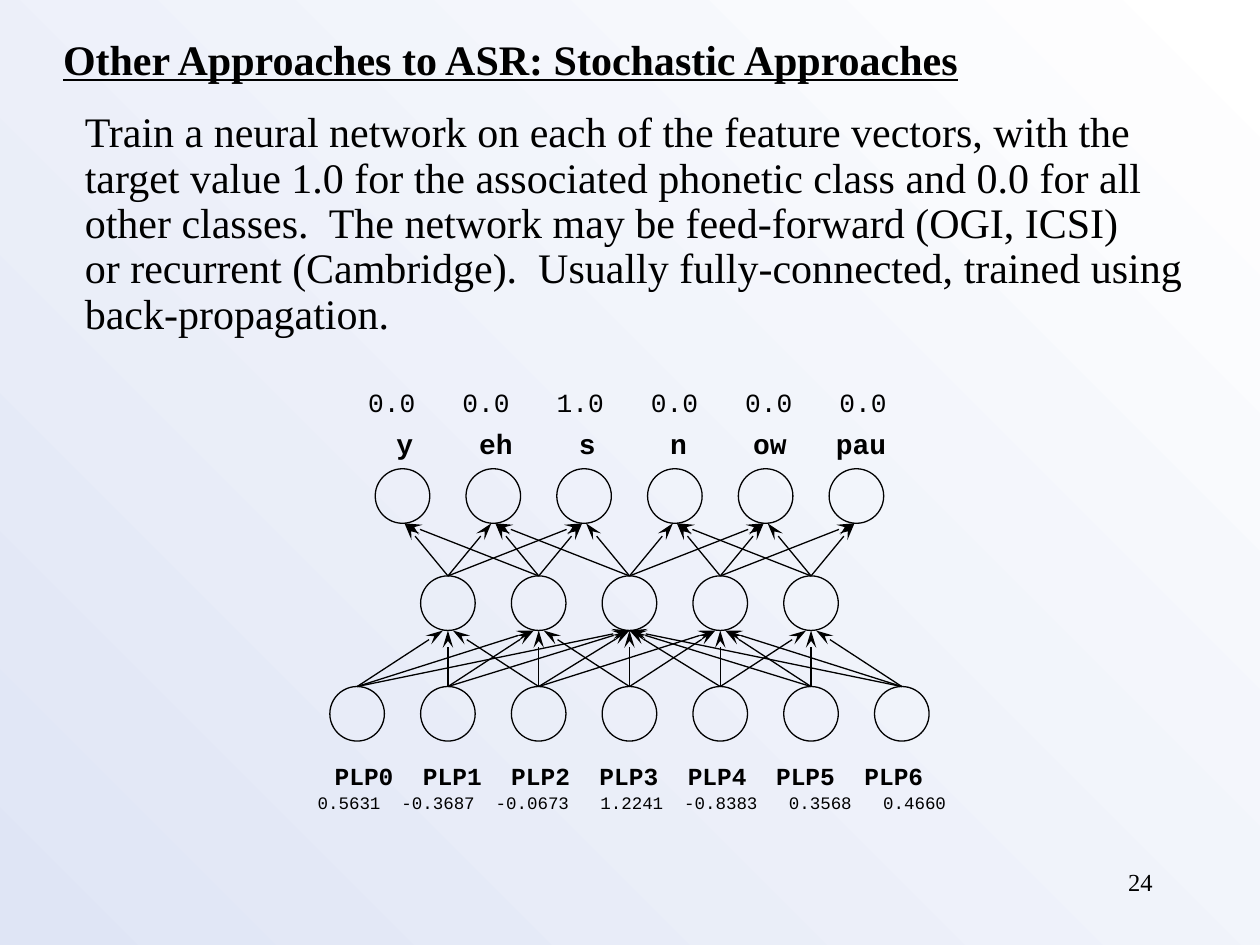
from dataclasses import dataclass

from lxml.etree import SubElement
from pptx import Presentation
from pptx.dml.color import RGBColor
from pptx.enum.shapes import MSO_CONNECTOR, MSO_SHAPE
from pptx.enum.text import MSO_ANCHOR, MSO_AUTO_SIZE, PP_ALIGN
from pptx.oxml.ns import qn
from pptx.util import Cm, Pt


@dataclass(frozen=True)
class Theme:
    ink: RGBColor = RGBColor(0, 0, 0)
    light: RGBColor = RGBColor(0xFF, 0xFF, 0xFF)
    tint: RGBColor = RGBColor(0xDF, 0xE5, 0xF5)
    serif: str = "Times New Roman"
    mono: str = "Courier New"
    heading: float = 24
    class_name: float = 16
    target: float = 15
    feature: float = 14
    value: float = 10
    line: float = 0.75


@dataclass(frozen=True)
class Layer:
    count: int
    top: float
    links: tuple = ()   # for each node, the nodes it feeds in the layer above
    nudge: float = 0    # how far arrow tips lean towards their source

    def center(self, index: int) -> float:
        return MIDDLE + (index - (self.count - 1) / 2) * PITCH


@dataclass(frozen=True)
class LabelRow:
    labels: str
    first_center: float
    pitch: float
    top: float
    height: float
    size: float
    align: PP_ALIGN = PP_ALIGN.CENTER
    bold: bool = False


THEME = Theme()
MIDDLE, PITCH, DIAMETER = 12.69, 1.83, 1.1
LABEL_WIDTH = 1.7

OUTPUTS = Layer(6, 9.45)
HIDDEN = Layer(5, 11.61, ((0, 1, 2), (0, 1, 2), (1, 2, 3, 4), (3, 4, 5), (3, 4, 5)), 0.04)
INPUTS = Layer(7, 13.84, ((0, 1, 2), (0, 1, 2), (0, 1, 2, 3), (1, 2, 3),
                          (2, 3, 4), (2, 3, 4), (2, 3, 4)), 0.1)

BODY_LINES = [
    "Train a neural network on each of the feature vectors, with the",
    "target value 1.0 for the associated phonetic class and 0.0 for all",
    "other classes.  The network may be feed-forward (OGI, ICSI)",
    "or recurrent (Cambridge).  Usually fully-connected, trained using",
    "back-propagation.",
]

LABEL_ROWS = [
    LabelRow("0.0 0.0 1.0 0.0 0.0 0.0", 7.9, 1.9, 7.67, 0.89, THEME.target),
    LabelRow("y eh s n ow pau", 8.16, 1.84, 8.48, 0.94, THEME.class_name, bold=True),
    LabelRow("PLP0 PLP1 PLP2 PLP3 PLP4 PLP5 PLP6", 7.34, 1.78, 15.21, 0.86,
             THEME.feature, bold=True),
    LabelRow("0.5631 -0.3687 -0.0673 1.2241 -0.8383 0.3568 0.4660", 6.82, 1.9, 15.85, 0.69,
             THEME.value, PP_ALIGN.RIGHT),
]


def place(box, left: float, top: float, width: float, height: float):
    box.left, box.top, box.width, box.height = Cm(left), Cm(top), Cm(width), Cm(height)
    return box


def write(box, lines: list[str], *, size: float, font: str = THEME.serif, bold: bool = False,
          underline: bool = False, align: PP_ALIGN = PP_ALIGN.LEFT, spacing: float = 1.0,
          side_margin: float = 0.25) -> None:
    frame = box.text_frame
    frame.word_wrap = True
    frame.auto_size = MSO_AUTO_SIZE.NONE
    frame.vertical_anchor = MSO_ANCHOR.TOP
    frame.margin_left = frame.margin_right = Cm(side_margin)
    for index, line in enumerate(lines):
        para = frame.paragraphs[0] if index == 0 else frame.add_paragraph()
        para.alignment, para.line_spacing, para.space_before = align, spacing, Pt(0)
        properties = para._p.get_or_add_pPr()
        properties.set("marL", "0")
        properties.set("indent", "0")
        SubElement(properties, qn("a:buNone"))
        span = para.add_run()
        span.text = line
        span.font.name, span.font.size = font, Pt(size)
        span.font.bold, span.font.underline = bold, underline
        span.font.color.rgb = THEME.ink


def add_label_row(page, row: LabelRow) -> None:
    for index, label in enumerate(row.labels.split()):
        left = row.first_center + index * row.pitch - LABEL_WIDTH / 2
        box = page.shapes.add_textbox(Cm(left), Cm(row.top), Cm(LABEL_WIDTH), Cm(row.height))
        write(box, [label], size=row.size, font=THEME.mono, bold=row.bold,
              align=row.align, side_margin=0)


def add_nodes(page, layer: Layer) -> None:
    for index in range(layer.count):
        left = layer.center(index) - DIAMETER / 2
        node = page.shapes.add_shape(MSO_SHAPE.OVAL, Cm(left), Cm(layer.top),
                                     Cm(DIAMETER), Cm(DIAMETER))
        node.shadow.inherit = False
        node.fill.background()
        node.line.color.rgb = THEME.ink
        node.line.width = Pt(THEME.line)


def add_arrows(page, lower: Layer, upper: Layer) -> None:
    for source, targets in enumerate(lower.links):
        start = lower.center(source)
        for target in targets:
            end = upper.center(target)
            if abs(start - end) > 0.01 and abs(end - MIDDLE) > 0.01:
                end += lower.nudge if start > end else -lower.nudge
            arrow = page.shapes.add_connector(MSO_CONNECTOR.STRAIGHT, Cm(start), Cm(lower.top),
                                              Cm(end), Cm(upper.top + DIAMETER))
            arrow.line.color.rgb = THEME.ink
            arrow.line.width = Pt(THEME.line)
            SubElement(arrow.line._get_or_add_ln(), qn("a:tailEnd"), type="stealth", len="lg")
            SubElement(arrow._element.spPr, qn("a:effectLst"))


def build() -> None:
    deck = Presentation()
    deck.slide_width, deck.slide_height = Cm(25.4), Cm(19.05)
    page = deck.slides.add_slide(deck.slide_layouts[1])

    # Background
    fill = page.background.fill
    fill.gradient()
    fill.gradient_angle = 225
    for stop, color, position in zip(fill.gradient_stops, (THEME.light, THEME.tint), (0, 1)):
        stop.color.rgb = color
        stop.position = position

    # Title and body
    title = place(page.shapes.title, 1.02, 0.55, 18.72, 1.27)
    write(title, ["Other Approaches to ASR: Stochastic Approaches"],
          size=THEME.heading, bold=True, underline=True)
    body = place(page.placeholders[1], 1.46, 2.12, 23.2, 5.54)
    write(body, BODY_LINES, size=THEME.heading, spacing=0.9)

    # Neural network
    for layer in (OUTPUTS, HIDDEN, INPUTS):
        add_nodes(page, layer)
    add_arrows(page, INPUTS, HIDDEN)
    add_arrows(page, HIDDEN, OUTPUTS)
    for row in LABEL_ROWS:
        add_label_row(page, row)

    # Page number
    number = page.shapes.add_textbox(Cm(18.21), Cm(17.35), Cm(5.28), Cm(1.27))
    write(number, ["24"], size=THEME.feature, align=PP_ALIGN.RIGHT)

    deck.save("out.pptx")


build()
